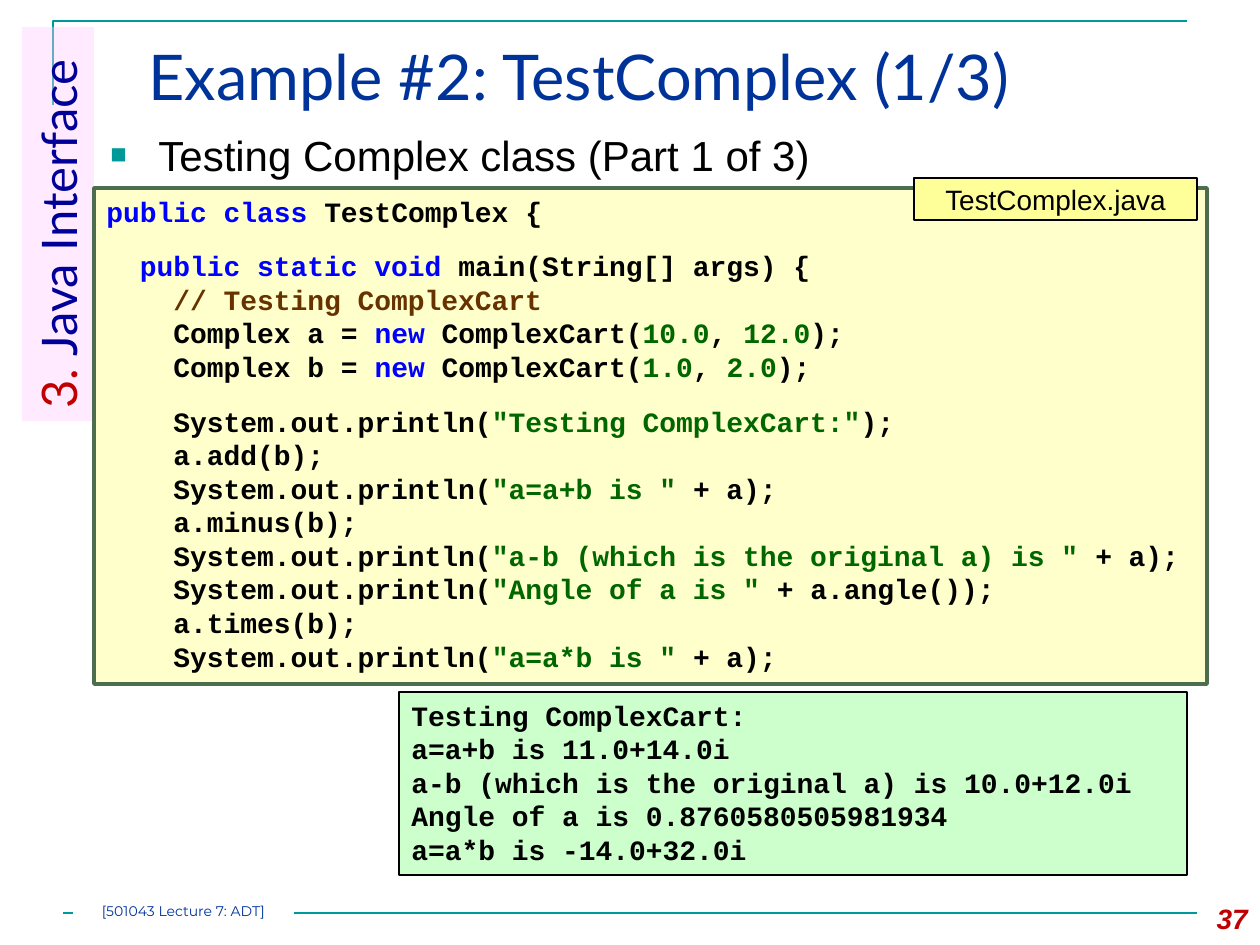
import pptx
import pptx.util
import pptx.dml.color
import pptx.enum.shapes
import pptx.enum.text
import pptx.oxml.ns
import lxml.etree

EMU_PER_PX = 914400 / 126
ALIGN = pptx.enum.text.PP_ALIGN
ANCHOR = pptx.enum.text.MSO_ANCHOR
RECTANGLE = pptx.enum.shapes.MSO_SHAPE.RECTANGLE

BLACK, BLUE, GREEN, BROWN = "000000", "0000FF", "006600", "663300"
NAVY, TEAL, RED = "003399", "009999", "C00000"


def px(length):
    return pptx.util.Emu(round(length * EMU_PER_PX))


def color(value):
    return pptx.dml.color.RGBColor.from_string(value)


def add_element(parent, tag, **attributes):
    return lxml.etree.SubElement(parent, pptx.oxml.ns.qn(tag), attributes)


class Style:
    def __init__(self, slide):
        self.slide = slide

    def outline(self, shape, line, width):
        if line:
            shape.line.color.rgb = color(line)
            shape.line.width = pptx.util.Pt(width)
        else:
            shape.line.fill.background()

    def add_runs(self, shape, paragraphs, font, size, bold=False, italic=False,
                 align=ALIGN.LEFT, anchor=ANCHOR.TOP, margins=None, gaps=()):
        frame = shape.text_frame
        frame.word_wrap = True
        frame.auto_size = pptx.enum.text.MSO_AUTO_SIZE.NONE
        frame.vertical_anchor = anchor
        if margins is not None:
            frame.margin_left = frame.margin_right = px(margins)
            frame.margin_top = frame.margin_bottom = px(margins)
        for index, runs in enumerate(paragraphs):
            paragraph = frame.add_paragraph() if index else frame.paragraphs[0]
            paragraph.alignment = align
            if index in gaps:
                paragraph.space_before = pptx.util.Pt(12)
            for text, text_color in runs:
                run = paragraph.add_run()
                run.text = text
                run.font.name = font
                run.font.size = pptx.util.Pt(size)
                run.font.bold = bold
                run.font.italic = italic
                run.font.color.rgb = color(text_color)

    def title(self, bounds, text):
        title = self.slide.shapes.title
        title.left, title.top, title.width, title.height = map(px, bounds)
        self.add_runs(title, [[(text, NAVY)]], "Lato", 36)

    def text(self, bounds, paragraphs, font, size, **options):
        box = self.slide.shapes.add_textbox(*map(px, bounds))
        self.add_runs(box, paragraphs, font, size, **options)
        return box

    def bullet(self, bounds, text):
        box = self.text(bounds, [[(text, BLACK)]], "Arial", 24)
        properties = box.text_frame.paragraphs[0]._p.get_or_add_pPr()
        properties.set("marL", str(px(48)))
        properties.set("indent", str(px(-48)))
        bullet_color = add_element(properties, "a:buClr")
        add_element(bullet_color, "a:srgbClr", val=TEAL)
        add_element(properties, "a:buSzPct", val="65000")
        add_element(properties, "a:buFont", typeface="Arial")
        add_element(properties, "a:buChar", char="■")

    def box(self, bounds, fill, paragraphs, font, size, line=None, width=1,
            alpha=None, rotation=0, **options):
        shape = self.slide.shapes.add_shape(RECTANGLE, *map(px, bounds))
        shape.shadow.inherit = False
        shape.rotation = rotation
        shape.fill.solid()
        shape.fill.fore_color.rgb = color(fill)
        if alpha:
            fill_color = shape._element.spPr.find(".//" + pptx.oxml.ns.qn("a:srgbClr"))
            add_element(fill_color, "a:alpha", val=str(alpha * 1000))
        self.outline(shape, line, width)
        self.add_runs(shape, paragraphs, font, size, **options)

    def corner(self, points):
        builder = self.slide.shapes.build_freeform(*points[0], scale=EMU_PER_PX)
        builder.add_line_segments(points[1:], close=False)
        shape = builder.convert_to_shape()
        shape.shadow.inherit = False
        shape.fill.background()
        self.outline(shape, TEAL, 1.5)

    def rule(self, left, right, y):
        connector = self.slide.shapes.add_connector(
            pptx.enum.shapes.MSO_CONNECTOR.STRAIGHT, px(left), px(y), px(right), px(y))
        self.outline(connector, TEAL, 1.5)
        add_element(connector._element.spPr, "a:effectLst")


def create_complex(name, real, imaginary):
    return [(f"    Complex {name} = ", BLACK), ("new", BLUE), (" ComplexCart(", BLACK),
            (real, GREEN), (", ", BLACK), (imaginary, GREEN), (");", BLACK)]


def print_line(literal, rest):
    return [("    System.out.println(", BLACK), (literal, GREEN), (rest, BLACK)]


def plain(text):
    return [(text, BLACK)]


CODE = [
    [("public class ", BLUE), ("TestComplex {", BLACK)],
    [("  ", BLACK), ("public static void ", BLUE), ("main(String[] args) {", BLACK)],
    [("    ", BLACK), ("// Testing ComplexCart", BROWN)],
    create_complex("a", "10.0", "12.0"),
    create_complex("b", "1.0", "2.0"),
    print_line('"Testing ComplexCart:"', ");"),
    plain("    a.add(b);"),
    print_line('"a=a+b is " ', "+ a);"),
    plain("    a.minus(b);"),
    print_line('"a-b (which is the original a) is " ', "+ a);"),
    print_line('"Angle of a is " ', "+ a.angle());"),
    plain("    a.times(b);"),
    print_line('"a=a*b is " ', "+ a);"),
]

OUTPUT = [
    "Testing ComplexCart:",
    "a=a+b is 11.0+14.0i",
    "a-b (which is the original a) is 10.0+12.0i",
    "Angle of a is 0.8760580505981934",
    "a=a*b is -14.0+32.0i",
]


def main():
    presentation = pptx.Presentation()
    presentation.slide_width = px(1260)
    presentation.slide_height = px(945)
    style = Style(presentation.slides.add_slide(presentation.slide_layouts[5]))

    style.corner([(53, 105), (53, 21), (1187, 21)])
    style.rule(63, 1197, 913)
    style.title((136, 31, 1092, 109), "Example #2: TestComplex (1/3)")
    style.text((1176, 895, 84, 50), [[("37", RED)]], "Arial", 16,
               bold=True, italic=True, align=ALIGN.RIGHT)
    style.box((-139, 188, 394, 72), "FFCCFF",
              [[("3. ", RED), ("Java Interface", "000099")]], "Lato", 28,
              alpha=40, rotation=270)
    style.bullet((98, 123, 1081, 73), "Testing Complex class (Part 1 of 3)")
    style.box((399, 692, 788, 183), "CCFFCC", [plain(text) for text in OUTPUT],
              "Courier New", 16, line=BLACK, bold=True)
    style.box((94, 188, 1113, 496), "FFFFCC", CODE, "Courier New", 16,
              line="4C6D4E", width=2, bold=True, gaps=(1, 5))
    style.box((914, 178, 283, 42), "FFFF99", [plain("TestComplex.java")], "Arial", 16,
              line=BLACK, width=0.75, align=ALIGN.CENTER, anchor=ANCHOR.MIDDLE)
    style.box((73, 903, 221, 21), "FFFFFF", [[("[501043 Lecture 7: ADT]", NAVY)]],
              "Montserrat", 8, align=ALIGN.CENTER, margins=0)
    presentation.save("out.pptx")


if __name__ == "__main__":
    main()
